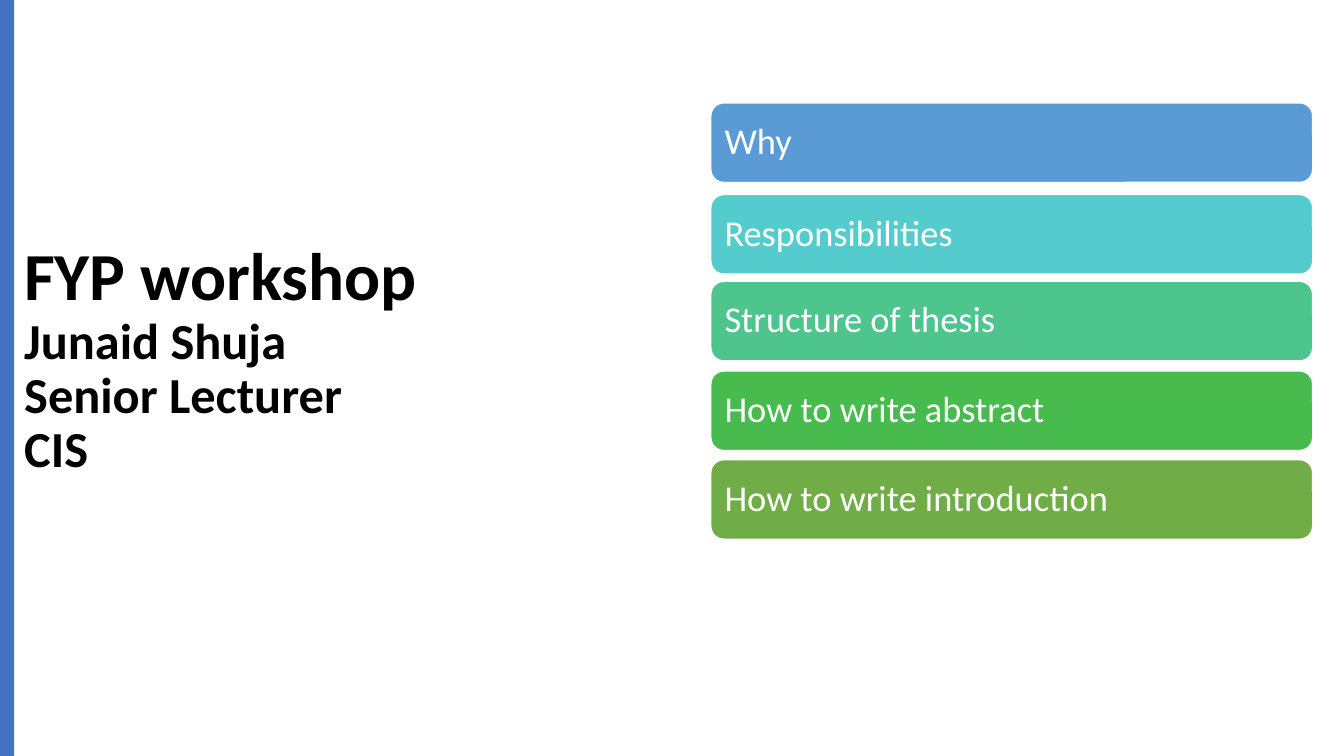
from copy import deepcopy

from pptx import Presentation
from pptx.dml.color import RGBColor
from pptx.enum.shapes import MSO_SHAPE
from pptx.enum.text import MSO_ANCHOR, MSO_AUTO_SIZE, PP_ALIGN
from pptx.util import Inches, Pt

TITLE_LINES = [("FYP workshop", 48), ("Junaid Shuja", 36),
               ("Senior Lecturer", 36), ("CIS", 36)]
TOPICS = [
    ("Why", 1.02, "5B9BD5"),
    ("Responsibilities", 1.93, "54CCCD"),
    ("Structure of thesis", 2.79, "4DC58D"),
    ("How to write abstract", 3.68, "48BB4F"),
    ("How to write introduction", 4.56, "70AD47"),
]


def color(hex_code):
    return RGBColor.from_string(hex_code)


class SlideBuilder:
    font = "Calibri"
    corner = 0.165

    def __init__(self, slide):
        self.slide = slide

    def place(self, sp, left, top, width, height):
        sp.left, sp.top = Inches(left), Inches(top)
        sp.width, sp.height = Inches(width), Inches(height)

    def run(self, p, text, size, hex_code, bold=False):
        r = p.add_run()
        r.text = text
        r.font.name = self.font
        r.font.size = Pt(size)
        r.font.bold = bold
        r.font.color.rgb = color(hex_code)
        return r

    def paragraph(self, sp):
        """Return the first paragraph, left-aligned in a middle-anchored frame."""
        tf = sp.text_frame
        tf.word_wrap = True
        tf.auto_size = MSO_AUTO_SIZE.NONE
        tf.vertical_anchor = MSO_ANCHOR.MIDDLE
        p = tf.paragraphs[0]
        p.alignment = PP_ALIGN.LEFT
        p.line_spacing = 0.9
        return p

    def title(self, lines, *box):
        sp = self.slide.shapes.title
        self.place(sp, *box)
        p = self.paragraph(sp)
        for i, (text, size) in enumerate(lines):
            r = self.run(p, text, size, "000000", bold=True)
            if i < len(lines) - 1:
                p.add_line_break()
                # A break takes the size of the line it ends
                p._p[-1].append(deepcopy(r._r.rPr))

    def block(self, preset, fill, *box):
        sp = self.slide.shapes.add_shape(preset, 0, 0, 0, 0)
        self.place(sp, *box)
        sp.shadow.inherit = False
        sp.fill.solid()
        sp.fill.fore_color.rgb = color(fill)
        sp.line.fill.background()
        return sp

    def topic(self, text, fill, *box):
        sp = self.block(MSO_SHAPE.ROUNDED_RECTANGLE, fill, *box)
        sp.adjustments[0] = self.corner
        sp.line.color.rgb = color("FFFFFF")
        sp.line.width = Pt(1)
        tf = sp.text_frame
        tf.margin_left = tf.margin_right = Inches(0.1)
        tf.margin_top = tf.margin_bottom = Inches(0.1)
        self.run(self.paragraph(sp), text, 26, "FFFFFF")


def main():
    prs = Presentation()
    prs.slide_width, prs.slide_height = Inches(13.33), Inches(7.5)
    title_only = prs.slide_layouts[5]
    s = SlideBuilder(prs.slides.add_slide(title_only))
    s.title(TITLE_LINES, 0.14, 0.57, 7.06, 6.02)
    s.block(MSO_SHAPE.RECTANGLE, "4472C4", 0, 0, 0.14, 7.5)
    for text, top, fill in TOPICS:
        s.topic(text, fill, 7.05, top, 5.97, 0.79)
    prs.save("out.pptx")


if __name__ == "__main__":
    main()
